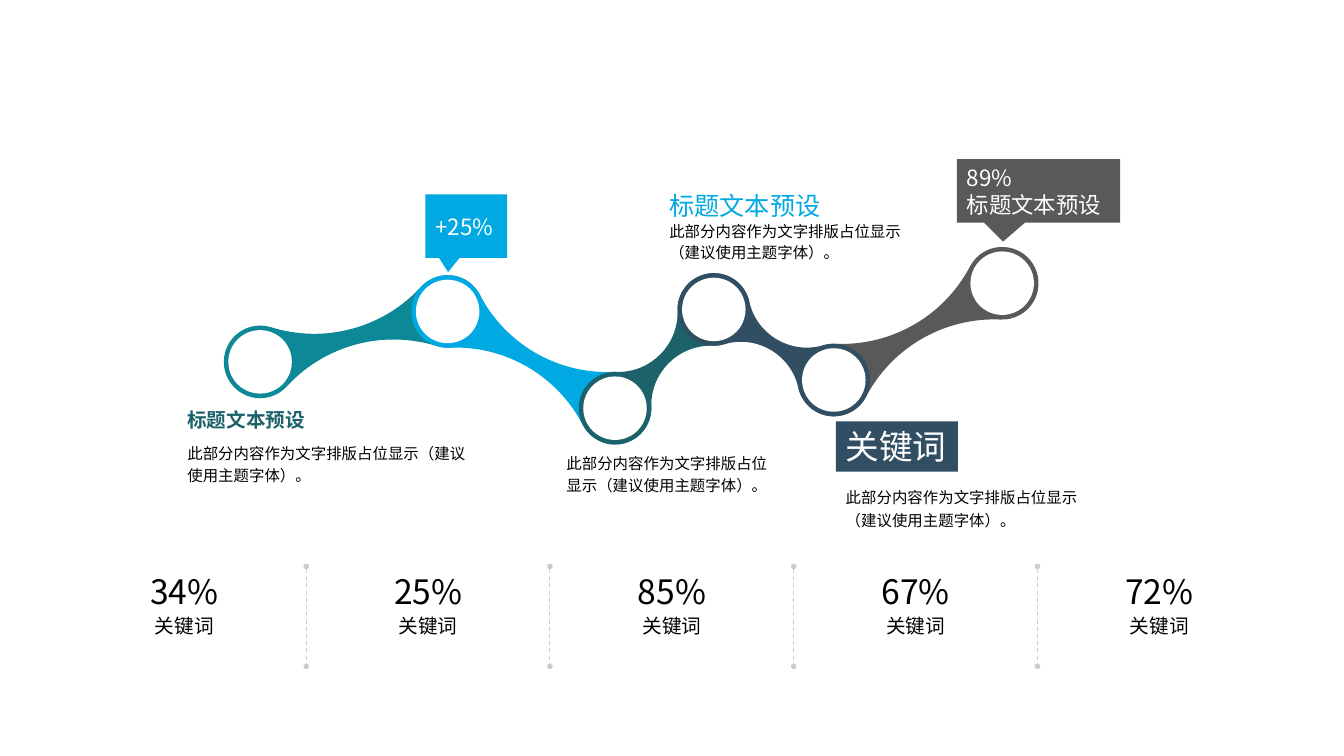
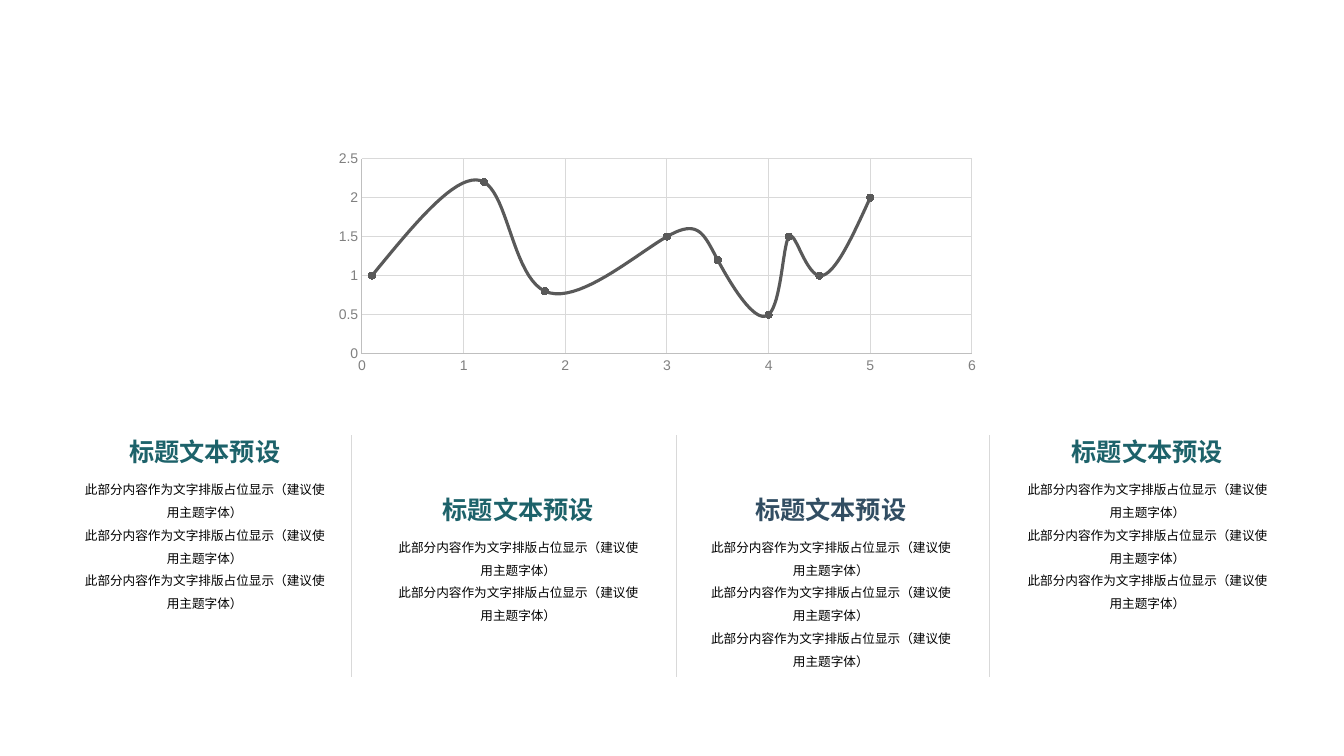
"""Build two slides: a linked-node timeline with key figures, and a curve chart with four notes."""
from math import atan2, cos, degrees, hypot, pi, sin, tan

from lxml import etree
from pptx import Presentation
from pptx.chart.data import XyChartData
from pptx.dml.color import RGBColor
from pptx.enum.chart import XL_CHART_TYPE, XL_MARKER_STYLE, XL_TICK_MARK
from pptx.enum.dml import MSO_LINE
from pptx.enum.shapes import MSO_CONNECTOR, MSO_SHAPE
from pptx.enum.text import MSO_ANCHOR, PP_ALIGN
from pptx.oxml.ns import qn
from pptx.util import Inches, Pt

LEFT, CENTER = PP_ALIGN.LEFT, PP_ALIGN.CENTER
TOP, MIDDLE = MSO_ANCHOR.TOP, MSO_ANCHOR.MIDDLE
CALLOUT, RECT, OVAL = MSO_SHAPE.RECTANGULAR_CALLOUT, MSO_SHAPE.RECTANGLE, MSO_SHAPE.OVAL
STRAIGHT, DASH = MSO_CONNECTOR.STRAIGHT, MSO_LINE.DASH
SMOOTH, CIRCLE, NO_TICK = XL_CHART_TYPE.XY_SCATTER_SMOOTH, XL_MARKER_STYLE.CIRCLE, XL_TICK_MARK.NONE


class Theme:
    font, axis_font = "Noto Sans CJK SC", "Arial"
    black, white = RGBColor(0, 0, 0), RGBColor(255, 255, 255)
    teal, deep_teal = RGBColor(0x0C, 0x88, 0x96), RGBColor(0x1D, 0x62, 0x6A)
    blue, navy = RGBColor(0x00, 0xA9, 0xE2), RGBColor(0x32, 0x4E, 0x63)
    gray, axis_text = RGBColor(0x59, 0x59, 0x59), RGBColor(0x80, 0x80, 0x80)
    dots, axis, grid = RGBColor(0xCC, 0xCC, 0xCC), RGBColor(0xBF, 0xBF, 0xBF), RGBColor(0xD9, 0xD9, 0xD9)
    figure, heading, callout, label, body, note, tick = 24, 18, 16, 14, 11, 9, 10


def write(sp, text, size, color, bold=False, align=LEFT, spacing=1.0, anchor=TOP, wrap=True, fill=None):
    if fill is not None:
        sp.shadow.inherit = False
        sp.fill.solid()
        sp.fill.fore_color.rgb = fill
        sp.line.fill.background()
    tf = sp.text_frame
    tf.text = text
    tf.word_wrap = wrap
    tf.vertical_anchor = anchor
    for p in tf.paragraphs:
        p.alignment = align
        p.line_spacing = spacing
        for r in p.runs:
            r.font.size = Pt(size)
            r.font.bold = bold
            r.font.color.rgb = color
            r.font.name = Theme.font
            etree.SubElement(r._r.get_or_add_rPr(), qn("a:ea"), typeface=Theme.font)
    return tf


def divider(s, x, top, bottom, color, width):
    line = s.shapes.add_connector(STRAIGHT, Inches(x), Inches(top), Inches(x), Inches(bottom))
    line.line.color.rgb = color
    line.line.width = Pt(width)
    etree.SubElement(line._element.spPr, qn("a:effectLst"))
    return line


prs = Presentation()
prs.slide_width, prs.slide_height = Inches(13.33), Inches(7.5)
blank = prs.slide_layouts[6]
title = "标题文本预设"
keyword = "关键词"
sentence = "此部分内容作为文字排版占位显示（建议使用主题字体）"

s = prs.slides.add_slide(blank)

for i, figure in enumerate(["34%", "25%", "85%", "67%", "72%"]):
    left = 0.95 + 9.67 * i / 4
    sp = s.shapes.add_textbox(Inches(left), Inches(5.61), Inches(1.76), Inches(0.5))
    write(sp, figure, Theme.figure, Theme.black, align=CENTER)
    sp = s.shapes.add_textbox(Inches(left), Inches(6.04), Inches(1.76), Inches(0.34))
    write(sp, keyword, Theme.label, Theme.black, align=CENTER)
    if i:
        line = divider(s, left - 0.33, 5.62, 6.61, Theme.dots, 0.75)
        line.line.dash_style = DASH
        for end in ("a:headEnd", "a:tailEnd"):
            etree.SubElement(line.line._get_or_add_ln(), qn(end), type="oval", w="sm", len="sm")

nodes = [(2.58, 3.59), (4.44, 3.09), (6.1, 4.05), (7.08, 3.07), (8.27, 3.77), (9.94, 2.81)]
links = [
    (0, 1, Theme.teal, 0.08),
    (1, 2, Theme.blue, 0.08),
    (2, 3, Theme.deep_teal, 0.06),
    (4, 5, Theme.gray, 0.08),
    (3, 4, Theme.navy, 0.06),
]
radius, hole = 0.36, 0.63
for start, end, color, waist in links:
    (x1, y1), (x2, y2) = nodes[start], nodes[end]
    length = hypot(x2 - x1, y2 - y1)
    left, middle = (x1 + x2 - length) / 2, (y1 + y2) / 2
    neck = (length ** 2 / 4 + waist ** 2 - radius ** 2) / (2 * (radius - waist))
    rise = neck + waist
    touch = atan2(rise, length / 2)
    arcs = [
        (0, 0, radius, [2 * pi - touch, 3 * pi / 2, pi, pi / 2, touch]),
        (length / 2, rise, neck, [pi + touch, 2 * pi - touch]),
        (length, 0, radius, [pi - touch, pi / 2, 0, -pi / 2, touch - pi]),
        (length / 2, -rise, neck, [touch, pi - touch]),
    ]
    points = [(radius * cos(touch), -radius * sin(touch))]
    for cx, cy, r, angles in arcs:
        for a, b in zip(angles, angles[1:]):
            k = 4 / 3 * tan((b - a) / 4)
            points += [
                (cx + r * (cos(a) - k * sin(a)), cy + r * (sin(a) + k * cos(a))),
                (cx + r * (cos(b) + k * sin(b)), cy + r * (sin(b) - k * cos(b))),
                (cx + r * cos(b), cy + r * sin(b)),
            ]
    points = [(Inches(left + x), Inches(middle + y)) for x, y in points]
    builder = s.shapes.build_freeform(*points[0])
    builder.add_line_segments(points[1:])
    band = builder.convert_to_shape()
    band.rotation = degrees(atan2(y2 - y1, x2 - x1))
    band.shadow.inherit = False
    band.fill.solid()
    band.fill.fore_color.rgb = color
    band.line.fill.background()
    segments = band._element.findall(".//" + qn("a:lnTo"))
    for i in range(0, len(segments), 3):
        curve = etree.Element(qn("a:cubicBezTo"))
        segments[i].addprevious(curve)
        for segment in segments[i:i + 3]:
            curve.append(segment[0])
            segment.getparent().remove(segment)

for x, y in nodes:
    disc = s.shapes.add_shape(OVAL, Inches(x - hole / 2), Inches(y - hole / 2), Inches(hole), Inches(hole))
    disc.shadow.inherit = False
    disc.fill.solid()
    disc.fill.fore_color.rgb = Theme.white
    disc.line.fill.background()

tags = [
    (CALLOUT, 9.49, 1.58, 1.62, 0.63, (-0.217, 0.797), Theme.gray, "89%\v" + title, Theme.callout, MIDDLE),
    (CALLOUT, 4.22, 1.93, 0.81, 0.63, (-0.223, 0.722), Theme.blue, "+25%", Theme.callout, MIDDLE),
    (RECT, 8.29, 4.18, 1.21, 0.5, (), Theme.navy, keyword, Theme.figure, TOP),
]
for kind, x, y, w, h, tip, fill, text, size, anchor in tags:
    sp = s.shapes.add_shape(kind, Inches(x), Inches(y), Inches(w), Inches(h))
    for i, value in enumerate(tip):
        sp.adjustments[i] = value
    write(sp, text, size, Theme.white, anchor=anchor, wrap=False, fill=fill)

captions = [
    (1.76, 4, 2.17, 0.34, title, Theme.label, Theme.deep_teal, True, 1.0),
    (6.54, 1.84, 2.17, 0.4, title, Theme.heading, Theme.blue, False, 1.0),
    (1.76, 4.32, 3.05, 0.55, sentence + "。", Theme.body, Theme.black, False, 1.2),
    (6.54, 2.14, 2.57, 0.51, sentence + "。", Theme.body, Theme.black, False, 1.1),
    (8.29, 4.76, 2.53, 0.78, sentence + "。", Theme.body, Theme.black, False, 1.2),
    (5.52, 4.42, 2.27, 0.84, sentence + "。", Theme.body, Theme.black, False, 1.2),
]
for x, y, w, h, text, size, color, bold, spacing in captions:
    sp = s.shapes.add_textbox(Inches(x), Inches(y), Inches(w), Inches(h))
    write(sp, text, size, color, bold=bold, spacing=spacing)

s = prs.slides.add_slide(blank)

columns = [
    (0.83, 4.25, 2.01, 3, Theme.deep_teal),
    (3.94, 4.82, 1.44, 2, Theme.deep_teal),
    (7.04, 4.82, 2.11, 3, Theme.navy),
    (10.18, 4.25, 1.55, 3, Theme.deep_teal),
]
for x, y, height, count, color in columns:
    sp = s.shapes.add_textbox(Inches(x), Inches(y), Inches(2.4), Inches(0.46))
    write(sp, title, Theme.heading, color, bold=True, align=CENTER, anchor=MIDDLE)
    sp = s.shapes.add_textbox(Inches(x), Inches(y + 0.46), Inches(2.4), Inches(height))
    tf = write(sp, "\n".join([sentence] * count), Theme.note, Theme.black, align=CENTER, spacing=1.5)
    tf.margin_left = tf.margin_right = tf.margin_top = tf.margin_bottom = 0

for x in (3.48, 6.71, 9.81):
    divider(s, x, 4.32, 6.72, Theme.grid, 0.25)

data = XyChartData()
series = data.add_series("Series 1")
for x, y in zip([0.1, 1.2, 1.8, 3, 3.5, 4, 4.2, 4.5, 5], [1, 2.2, 0.8, 1.5, 1.2, 0.5, 1.5, 1, 2]):
    series.add_data_point(x, y)
frame = s.shapes.add_chart(SMOOTH, Inches(3.23), Inches(1.45), Inches(6.58), Inches(2.3), data)
chart = frame.chart
chart.has_title = False
chart.has_legend = False
chart.font.name = Theme.font
chart.font.size = Pt(Theme.tick)
chart.font.color.rgb = Theme.black

for axis, top, unit in ((chart.category_axis, 6, 1), (chart.value_axis, 2.5, 0.5)):
    axis.minimum_scale, axis.maximum_scale, axis.major_unit = 0, top, unit
    axis.major_tick_mark = axis.minor_tick_mark = NO_TICK
    axis.has_major_gridlines = True
    axis.tick_labels.number_format = "General"
    axis.tick_labels.number_format_is_linked = False
    axis.tick_labels.font.name = Theme.axis_font
    axis.tick_labels.font.size = Pt(Theme.tick)
    axis.tick_labels.font.color.rgb = Theme.axis_text
    for line, color in ((axis.format.line, Theme.axis), (axis.major_gridlines.format.line, Theme.grid)):
        line.color.rgb = color
        line.width = Pt(0.75)

chart.plots[0].vary_by_categories = False
curve = chart.plots[0].series[0]
curve._element.find(qn("c:smooth")).set("val", "1")
curve.format.line.color.rgb = Theme.gray
curve.format.line.width = Pt(2.25)
curve.marker.style = CIRCLE
curve.marker.size = 5
curve.marker.format.fill.solid()
curve.marker.format.fill.fore_color.rgb = Theme.gray
curve.marker.format.line.color.rgb = Theme.gray

prs.save("out.pptx")
